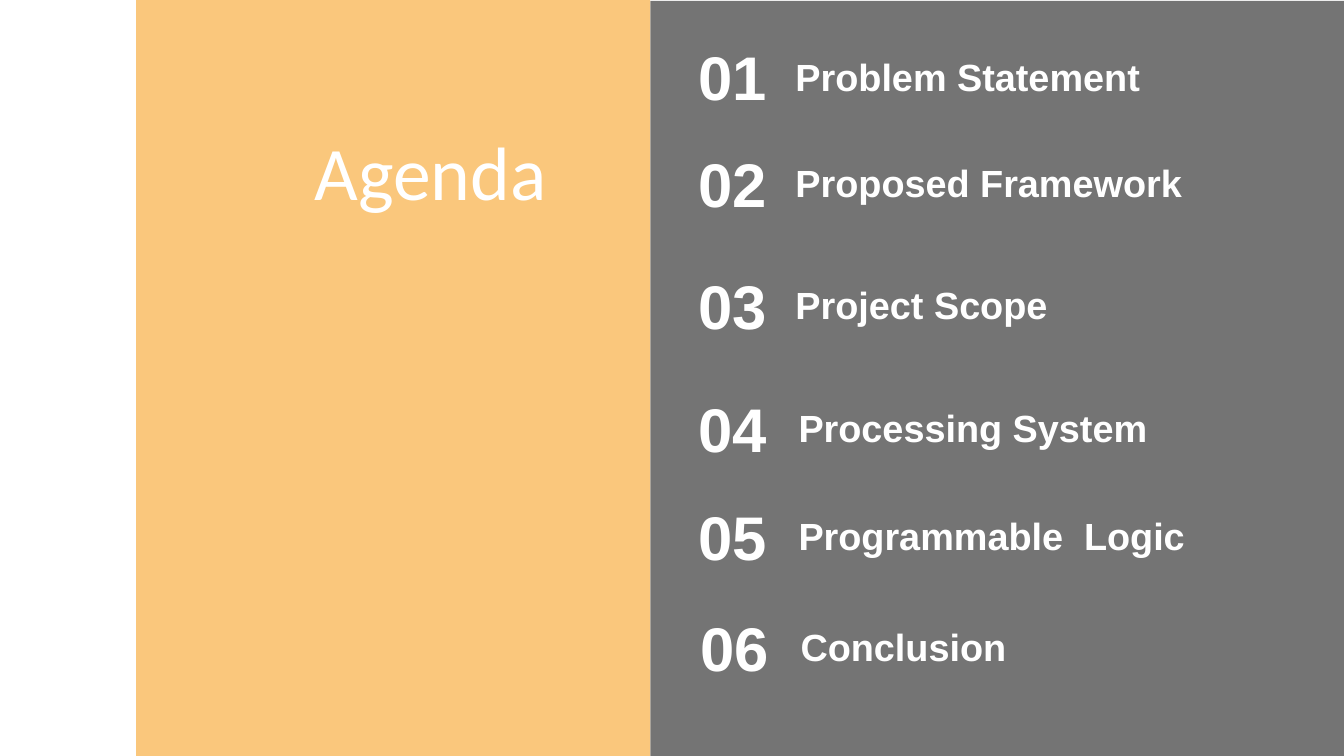
import pptx
import pptx.util
import pptx.dml.color
import pptx.enum.shapes
import pptx.enum.text
import pptx.oxml
import lxml.etree
from pptx.util import Inches

WHITE = pptx.dml.color.RGBColor(0xFF, 0xFF, 0xFF)
CHARCOAL = pptx.dml.color.RGBColor(0x39, 0x39, 0x39)
AMBER = pptx.dml.color.RGBColor(0xF9, 0xB0, 0x45)

LEFT = pptx.enum.text.PP_ALIGN.LEFT
CENTER = pptx.enum.text.PP_ALIGN.CENTER
RIGHT = pptx.enum.text.PP_ALIGN.RIGHT
TOP = pptx.enum.text.MSO_ANCHOR.TOP
MIDDLE = pptx.enum.text.MSO_ANCHOR.MIDDLE

AGENDA = [
    ("Problem Statement", 6.73, 0.34, 7.77),
    ("Proposed Framework", 6.73, 1.4, 7.77),
    ("Project Scope", 6.73, 2.61, 7.77),
    ("Processing System", 6.73, 3.83, 7.8),
    ("Programmable  Logic", 6.73, 4.9, 7.8),
    ("Conclusion", 6.75, 6, 7.82),
]


class AgendaSlide:
    item_font = "Arial"
    title_font = "Calibri"
    opacity = 70

    def __init__(self, deck):
        self.page = deck.slides.add_slide(deck.slide_layouts[6])

    def panel(self, left, top, width, height, color):
        shape = self.page.shapes.add_shape(
            pptx.enum.shapes.MSO_SHAPE.RECTANGLE,
            Inches(left), Inches(top), Inches(width), Inches(height))
        shape.shadow.inherit = False
        shape.line.fill.background()
        shape.fill.solid()
        shape.fill.fore_color.rgb = color
        tint = shape.fill._xPr.find(".//" + pptx.oxml.ns.qn("a:srgbClr"))
        alpha = lxml.etree.SubElement(tint, pptx.oxml.ns.qn("a:alpha"))
        alpha.set("val", str(self.opacity * 1000))

    def text(self, words, left, top, width, height, size, font, align,
             bold=False, anchor=TOP, inset=0.12):
        box = self.page.shapes.add_textbox(
            Inches(left), Inches(top), Inches(width), Inches(height))
        frame = box.text_frame
        frame.word_wrap = True
        frame.auto_size = pptx.enum.text.MSO_AUTO_SIZE.SHAPE_TO_FIT_TEXT
        frame.vertical_anchor = anchor
        frame.margin_left = frame.margin_right = Inches(inset)
        frame.margin_top = frame.margin_bottom = Inches(0.05)
        para = frame.paragraphs[0]
        para.alignment = align
        span = para.add_run()
        span.text = words
        span.font.name = font
        span.font.size = pptx.util.Pt(size)
        span.font.bold = bold
        span.font.color.rgb = WHITE

    def title(self, words):
        self.text(words, 2.36, 1.18, 3.33, 1.01, 54, self.title_font, RIGHT,
                  anchor=MIDDLE, inset=0.1)

    def item(self, number, label, number_left, top, label_left):
        self.text(f"{number:02d}", number_left, top, 1.07, 0.84, 44,
                  self.item_font, CENTER, bold=True)
        self.text(label, label_left, top + 0.14, 5.1, 0.56, 27,
                  self.item_font, LEFT, bold=True)


def main():
    deck = pptx.Presentation()
    deck.slide_width = Inches(13.33)
    deck.slide_height = Inches(7.5)
    slide = AgendaSlide(deck)
    slide.panel(6.45, 0.01, 6.88, 7.49, CHARCOAL)
    slide.panel(1.35, 0, 5.1, 7.5, AMBER)
    slide.title("Agenda ")
    for number, (label, number_left, top, label_left) in enumerate(AGENDA, 1):
        slide.item(number, label, number_left, top, label_left)
    deck.save("out.pptx")


if __name__ == "__main__":
    main()
